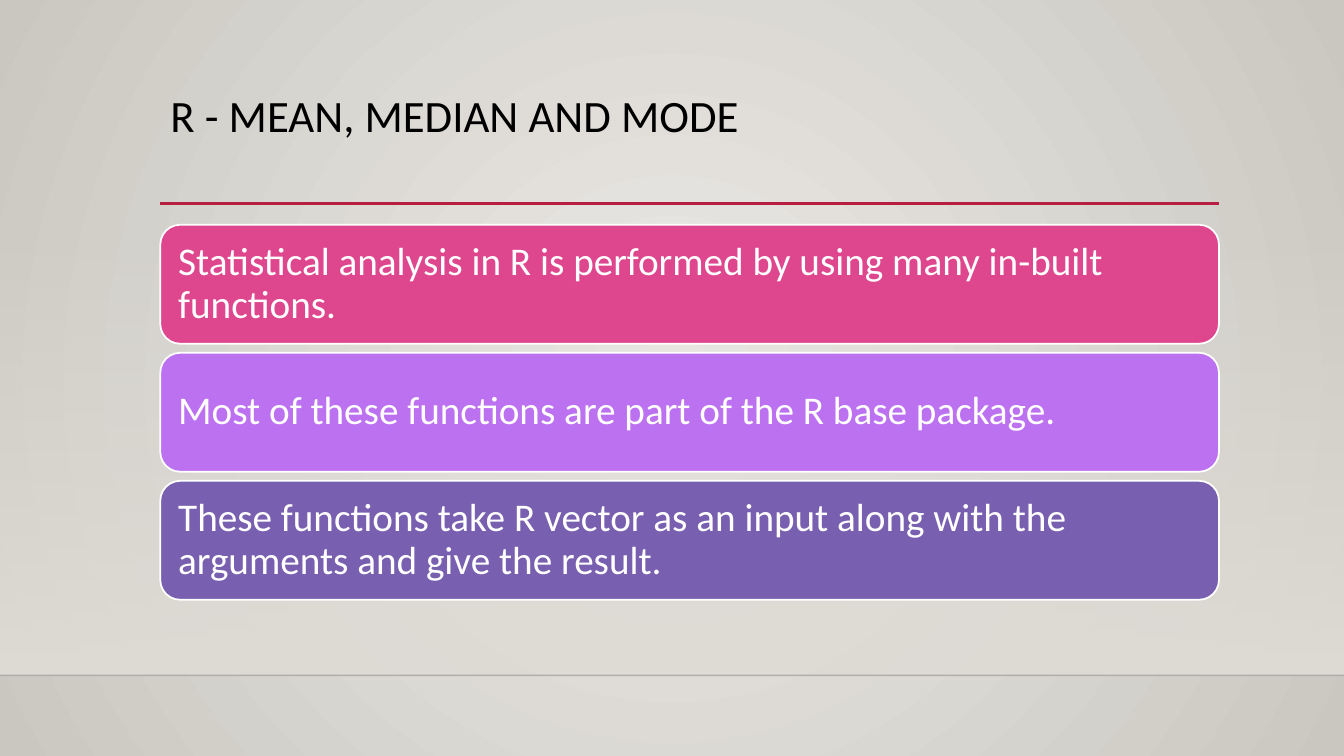
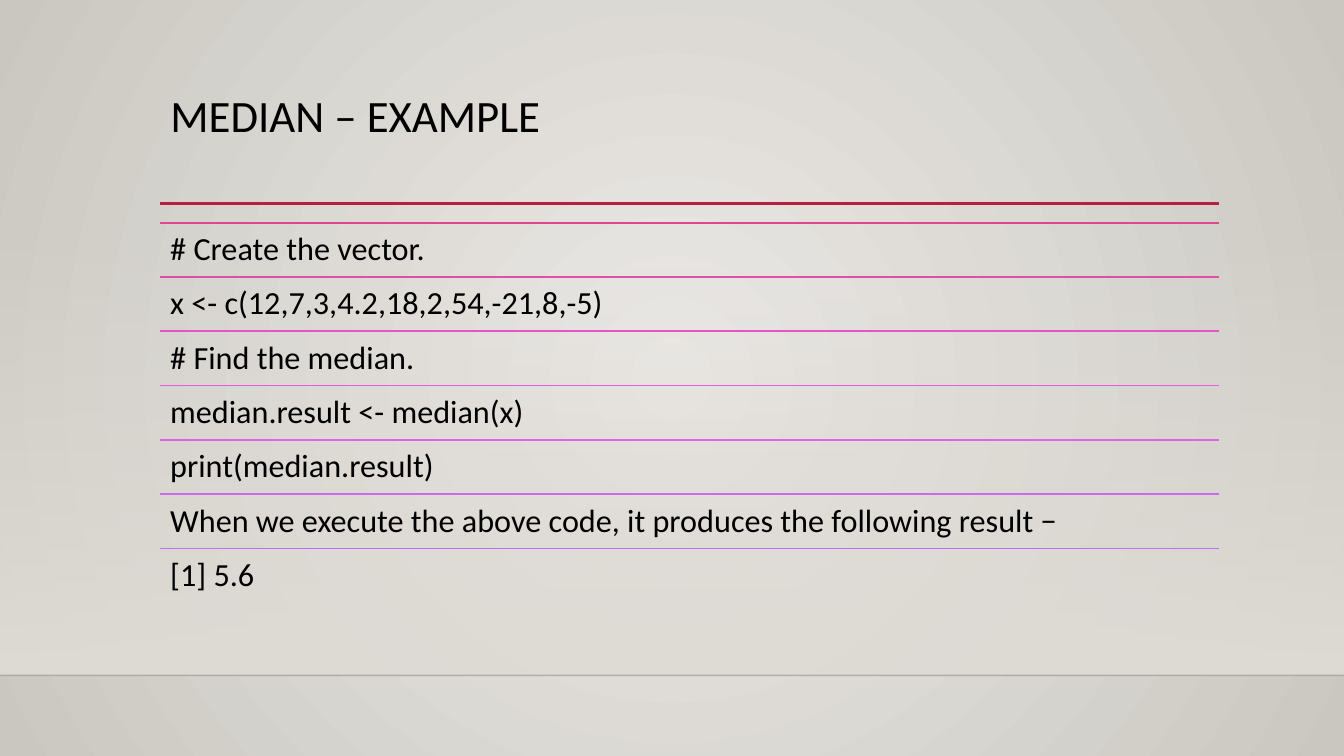
from pptx import Presentation
from pptx.dml.color import RGBColor
from pptx.enum.shapes import MSO_CONNECTOR as Connector, MSO_SHAPE as Shape
from pptx.enum.text import MSO_ANCHOR as Anchor, PP_ALIGN as Align
from pptx.oxml import parse_xml
from pptx.oxml.ns import nsdecls, qn
from pptx.oxml.xmlchemy import OxmlElement
from pptx.util import Inches, Pt

FONT = "Calibri"
BLACK, WHITE, ACCENT = "000000", "FFFFFF", "B71E42"
BACKDROP = ("ECEAE7", "CAC7C1")
BAND = "DFDBD5"
SLIDE_WIDTH, SLIDE_HEIGHT = 13.33, 7.5
LEFT, WIDTH = 1.59, 10.5
TITLE_BOX = (LEFT, 0.88, WIDTH, 1.15)
BAND_BOX = (0, 2.21, SLIDE_WIDTH, 4.49)
BARS_BOX = (LEFT, 2.23, WIDTH, 3.72)
ROWS_BOX = (LEFT, 2.21, WIDTH, 3.77)

BARS = [
    ("DE478E", "Statistical analysis in R is performed by using many in-built functions."),
    ("BC72F0", "Most of these functions are part of the R base package."),
    ("795FAF", "These functions take R vector as an input along with the "
               "arguments and give the result."),
]
ROWS = [
    ("DE478E", "# Create the vector."),
    ("E14EAA", "x <- c(12,7,3,4.2,18,2,54,-21,8,-5)"),
    ("E555C6", "# Find the median."),
    ("E85CE0", "median.result <- median(x)"),
    ("DD63EB", "print(median.result)"),
    ("CC6AED", "When we execute the above code, it produces the following result \u2212"),
    ("BC72F0", "[1] 5.6"),
]


def rgb(value):
    return RGBColor.from_string(value)


def set_alpha(element, percent):
    alpha = OxmlElement("a:alpha")
    alpha.set("val", str(percent * 1000))
    element.find(".//" + qn("a:srgbClr")).append(alpha)


def fill_gradient(fill, colors):
    fill.gradient()
    for stop, color in zip(fill.gradient_stops, colors):
        stop.color.rgb = rgb(color)


def add_line(page, left, top, width, color, weight, opacity=100):
    line = page.shapes.add_connector(
        Connector.STRAIGHT, Inches(left), Inches(top), Inches(left + width), Inches(top))
    line.line.color.rgb = rgb(color)
    line.line.width = Pt(weight)
    properties = line.element.spPr
    if opacity < 100:
        set_alpha(properties, opacity)
    properties.append(OxmlElement("a:effectLst"))


def write(frame, text, size, color, anchor, inset_x, inset_y):
    frame.word_wrap = True
    frame.vertical_anchor = anchor
    frame.margin_left = frame.margin_right = Inches(inset_x)
    frame.margin_top = frame.margin_bottom = Inches(inset_y)
    para = frame.paragraphs[0]
    para.alignment = Align.LEFT
    para.line_spacing = 0.9
    span = para.add_run()
    span.text = text
    span.font.name = FONT
    span.font.size = Pt(size)
    span.font.color.rgb = rgb(color)


def style_master(master):
    fill_gradient(master.background.fill, BACKDROP)
    gradient = master.element.find(".//" + qn("a:gradFill"))
    gradient.replace(gradient.find(qn("a:lin")), parse_xml(
        f'<a:path {nsdecls("a")} path="circle">'
        '<a:fillToRect l="50000" t="50000" r="50000" b="50000"/></a:path>'))


def add_band(page, box):
    left, top, width, height = box
    band = page.shapes.add_shape(Shape.RECTANGLE, *map(Inches, box))
    band.shadow.inherit = False
    fill_gradient(band.fill, (BAND, BAND))
    band.fill.gradient_angle = 270
    set_alpha(band.element.spPr, 0)
    band.line.fill.background()
    add_line(page, left, top + height, width, "000001", 1, 20)


def add_page(deck, title):
    page = deck.slides.add_slide(deck.slide_layouts.get_by_name("Title Only"))
    add_band(page, BAND_BOX)
    add_line(page, LEFT, 2.02, WIDTH, ACCENT, 2.5)
    heading = page.shapes.title
    heading.left, heading.top, heading.width, heading.height = map(Inches, TITLE_BOX)
    write(heading.text_frame, title, 32, BLACK, Anchor.TOP, 0.1, 0.05)
    return page


def add_bars(page, box, bars, gap=0.09):
    left, top, width, height = box
    bar_height = (height - gap * (len(bars) - 1)) / len(bars)
    for index, (color, text) in enumerate(bars):
        bar_top = top + index * (bar_height + gap)
        bar = page.shapes.add_shape(
            Shape.ROUNDED_RECTANGLE, *map(Inches, (left, bar_top, width, bar_height)))
        bar.shadow.inherit = False
        bar.fill.solid()
        bar.fill.fore_color.rgb = rgb(color)
        bar.line.color.rgb = rgb(WHITE)
        bar.line.width = Pt(1.25)
        write(bar.text_frame, text, 28, WHITE, Anchor.MIDDLE, 0.12, 0.12)


def add_rows(page, box, rows):
    left, top, width, height = box
    row_height = height / len(rows)
    for index, (color, text) in enumerate(rows):
        row_top = top + index * row_height
        add_line(page, left, row_top, width, color, 1.25)
        row = page.shapes.add_textbox(*map(Inches, (left, row_top, width, row_height)))
        write(row.text_frame, text, 23, BLACK, Anchor.TOP, 0.1, 0.1)


deck = Presentation()
deck.slide_width, deck.slide_height = Inches(SLIDE_WIDTH), Inches(SLIDE_HEIGHT)
style_master(deck.slide_master)
add_bars(add_page(deck, "R - MEAN, MEDIAN AND MODE"), BARS_BOX, BARS)
add_rows(add_page(deck, "MEDIAN \u2013 EXAMPLE"), ROWS_BOX, ROWS)
deck.save("out.pptx")
